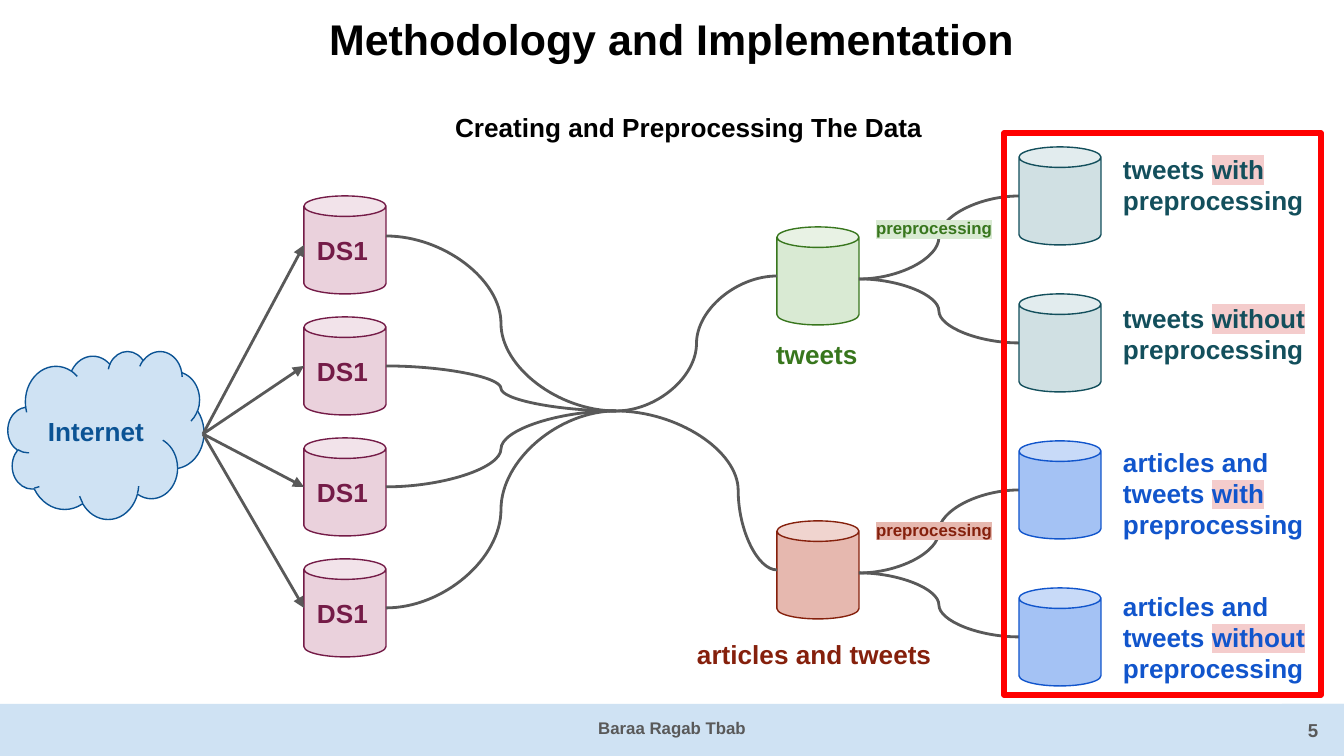
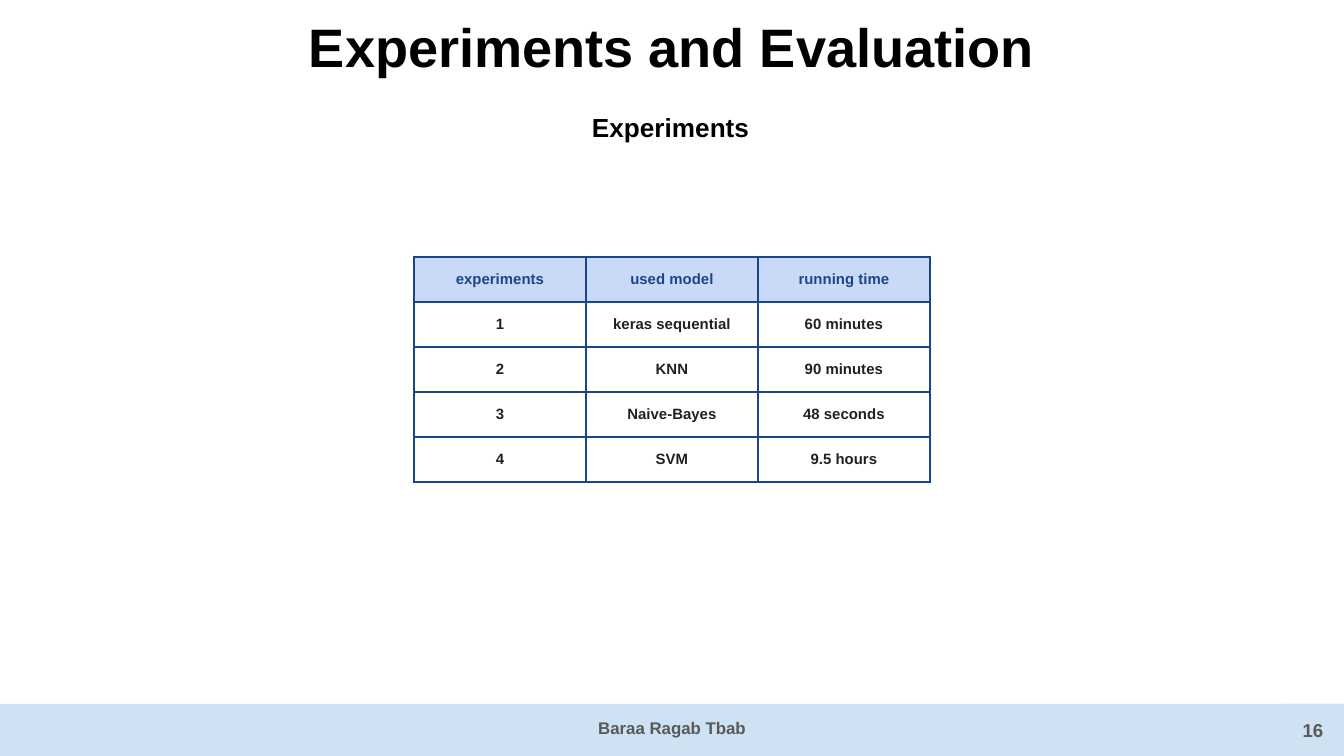
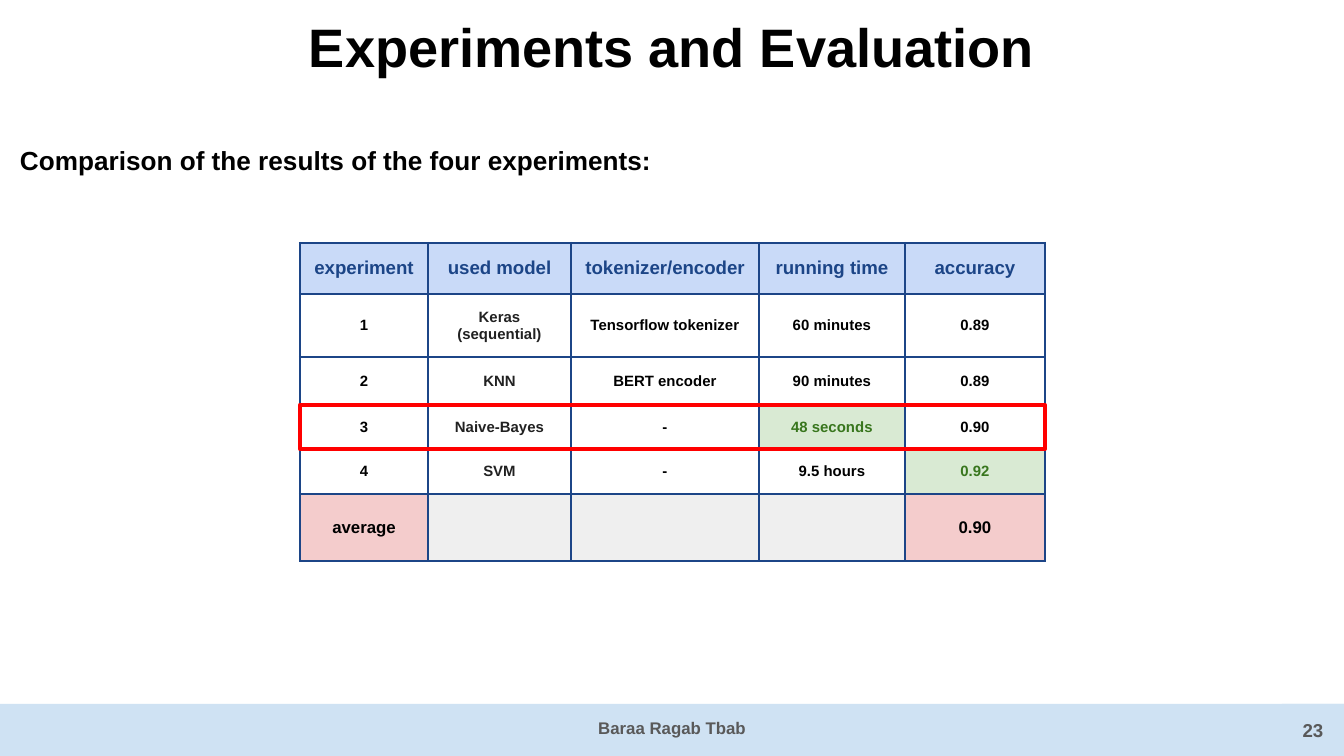
from lxml import etree
from pptx import Presentation
from pptx import util as u
from pptx.dml.color import RGBColor
from pptx.enum import shapes, text
from pptx.oxml.ns import qn

PX = 914400 / 134.4
WIDE, HIGH = 1344, 756
PAD = 13
FONT = "Arial"
BLACK, WHITE, GREY, DARK = "000000", "FFFFFF", "595959", "212121"
BAND, NAVY, HEAD, RED = "CFE2F3", "1C4587", "C9DAF8", "FF0000"
GREEN, MINT = "38761D", "D9EAD3"
BRICK, CLAY = "85200C", "E6B8AF"
TEAL, MIST = "134F5C", "D0E0E3"
BLUE, SKY = "1155CC", "A4C2F4"
PLUM, ROSE = "741B47", "EAD1DC"
OCEAN, PINK, PALE = "0B5394", "F4CCCC", "EFEFEF"
CAN = (82, 98)

LEFT, MID = text.PP_ALIGN.LEFT, text.PP_ALIGN.CENTER
TOP, CORE = text.MSO_ANCHOR.TOP, text.MSO_ANCHOR.MIDDLE
Kind = shapes.MSO_SHAPE
Link = shapes.MSO_CONNECTOR


def px(n):
    return u.Emu(round(n * PX))


def color(code):
    return RGBColor.from_string(code)


def paint(fill, code):
    if code:
        fill.solid()
        fill.fore_color.rgb = color(code)
    else:
        fill.background()


def add_run(para, words, size, ink, mark=None):
    """Add one bold run, highlighted with the colour mark if given."""
    run = para.add_run()
    run.text = words
    font = run.font
    font.size, font.bold, font.name = u.Pt(size), True, FONT
    font.color.rgb = color(ink)
    if mark:
        light = etree.Element(qn("a:highlight"))
        etree.SubElement(light, qn("a:srgbClr"), val=mark)
        font._element.find(qn("a:solidFill")).addnext(light)


def write(shape, runs, size, ink, align=LEFT, anchor=TOP):
    """Fill a shape with one paragraph of (words, highlight) runs."""
    frame = shape.text_frame
    frame.word_wrap, frame.vertical_anchor = True, anchor
    frame.margin_left = frame.margin_right = px(PAD)
    frame.margin_top = frame.margin_bottom = px(PAD)
    para = frame.paragraphs[0]
    para.alignment = align
    for words, mark in runs:
        add_run(para, words, size, ink, mark)
    return para


def label(slide, box, runs, size, ink, align=LEFT):
    area = slide.shapes.add_textbox(*map(px, box))
    write(area, runs, size, ink, align)


def block(slide, kind, box, fill=None, line=None, weight=0.75):
    shape = slide.shapes.add_shape(kind, *map(px, box))
    shape.shadow.inherit = False
    paint(shape.fill, fill)
    paint(shape.line.fill, line)
    if line:
        shape.line.width = u.Pt(weight)
    return shape


def link(slide, kind, start, end):
    line = slide.shapes.add_connector(kind, *map(px, start + end))
    line.line.color.rgb = color(GREY)
    line.line.width = u.Pt(1.5)
    etree.SubElement(line._element.spPr, qn("a:effectLst"))
    return line


def arrow(slide, start, end):
    line = link(slide, Link.STRAIGHT, start, end)
    etree.SubElement(line.line._get_or_add_ln(), qn("a:tailEnd"), type="triangle")


def curve(slide, start, end, bend=50000):
    """Draw an S curve that turns at bend (100000 = whole width)."""
    line = link(slide, Link.CURVE, start, end)
    geom = line._element.spPr.find(qn("a:prstGeom"))
    guides = geom.find(qn("a:avLst"))
    if guides is None:
        guides = etree.SubElement(geom, qn("a:avLst"))
    etree.SubElement(guides, qn("a:gd"), name="adj1", fmla=f"val {bend}")


def base(deck, title, size, page):
    """Add a slide with its title, footer band and page number."""
    slide = deck.slides.add_slide(deck.slide_layouts[6])
    label(slide, (0, 0, WIDE, 98), [(title, None)], size, BLACK, MID)
    top, tall = 704, HIGH - 704
    foot = block(slide, Kind.RECTANGLE, (0, top, WIDE, tall), BAND)
    para = write(foot, [("Baraa Ragab Tbab", None)], 9, GREY, MID, CORE)
    para.line_spacing = 0.8
    num = block(slide, Kind.RECTANGLE, (WIDE - 62, top, 62, tall), BAND)
    write(num, [(str(page), None)], 10, GREY, MID, CORE)
    return slide


def sources(slide, x, y, hub):
    """Place the cloud and four data sets, which all flow into the hub."""
    cloud = block(slide, Kind.CLOUD, (x, y, 196, 168), BAND, OCEAN)
    write(cloud, [("Internet", None)], 14, OCEAN, LEFT, CORE)
    wide, tall = CAN
    left, step = x + 296, 121
    for i in range(4):
        top = y - 155 + i * step
        mid = top + tall // 2
        can = block(slide, Kind.CAN, (left, top, *CAN), ROSE, PLUM)
        write(can, [("DS1", None)], 14, PLUM, LEFT, CORE)
        arrow(slide, (x + 195, y + 83), (left, mid))
        out = mid if i else mid - 9
        curve(slide, (left + wide, out), hub)


def branch(slide, x, y, hub, bend, look, name, outs):
    """Place a store, its name and the two results that split from it."""
    fill, ink = look
    wide, tall = CAN
    block(slide, Kind.CAN, (x, y, *CAN), fill, ink)
    curve(slide, (x, y + tall // 2), hub, bend)
    words, box = name
    label(slide, (x + box[0], y + box[1], box[2], 59), [(words, None)], 14, ink)
    start, (pale, deep), lines = outs
    far = x + 242
    for i, (side, drop, high) in enumerate((("with", -7, 0), ("without", -5, -3))):
        top = start + i * 147
        curve(slide, (far, top + tall // 2), (x + wide, y + 52))
        block(slide, Kind.CAN, (far, top, *CAN), pale, deep)
        runs = [(lines, WHITE), (side, PINK), (" preprocessing", WHITE)]
        shift = drop if lines == "tweets " else high - 8
        label(slide, (x + 333, top + shift, 234, 122), runs, 14, deep)
    label(slide, (x + 86, y - 19 + (8 if bend < 50000 else 0), 157, 47),
          [("preprocessing", fill)], 9, ink)


def flow(deck):
    slide = base(deck, "Methodology and Implementation", 23, 5)
    label(slide, (442, 98, 504, 59),
          [("Creating and Preprocessing The Data", None)], 14, BLACK)
    hub = (616, 411)
    sources(slide, 8, 351, hub)
    branch(slide, 777, 227, hub, 50000, (MINT, GREEN),
           ("tweets", (-14, 98, 110)), (147, (MIST, TEAL), "tweets "))
    branch(slide, 777, 521, hub, 24100, (CLAY, BRICK),
           ("articles and tweets", (-93, 104, 267)),
           (441, (SKY, BLUE), "articles and tweets "))
    block(slide, Kind.RECTANGLE, (1004, 133, 317, 562), None, RED, 3)


def grid(slide, x, y, cols, rows, data, style):
    """Add a ruled table; style(row, col) gives size, ink and fill."""
    frame = slide.shapes.add_table(len(rows), len(cols), px(x), px(y),
                                   px(sum(cols)), px(sum(rows)))
    table = frame.table
    table.first_row = table.horz_banding = False
    for col, wide in zip(table.columns, cols):
        col.width = px(wide)
    for r, (row, tall) in enumerate(zip(table.rows, rows)):
        row.height = px(tall)
        for c, cell in enumerate(row.cells):
            size, ink, fill = style(r, c)
            cell.vertical_anchor = CORE
            cell.margin_left = cell.margin_right = px(PAD)
            cell.margin_top = cell.margin_bottom = px(PAD)
            rule(cell)
            paint(cell.fill, fill)
            para = cell.text_frame.paragraphs[0]
            para.alignment = MID
            if data[r][c]:
                add_run(para, data[r][c], size, ink)


def rule(cell):
    """Draw the four borders of a cell."""
    props = cell._tc.get_or_add_tcPr()
    for side in "LRTB":
        line = etree.SubElement(props, qn(f"a:ln{side}"), w=str(u.Pt(1.5)))
        fill = etree.SubElement(line, qn("a:solidFill"))
        etree.SubElement(fill, qn("a:srgbClr"), val=NAVY)


def trials(deck):
    slide = base(deck, "Experiments and Evaluation", 29, 16)
    label(slide, (579, 98, 187, 59), [("Experiments", None)], 14, BLACK)
    data = [
        ("experiments", "used model", "running time"),
        ("1", "keras sequential", "60 minutes"),
        ("2", "KNN", "90 minutes"),
        ("3", "Naive-Bayes", "48 seconds"),
        ("4", "SVM", "9.5 hours"),
    ]

    def style(r, c):
        return (8, DARK, None) if r else (8, NAVY, HEAD)

    grid(slide, 414, 257, [172] * 3, [45] * 5, data, style)


def results(deck):
    slide = base(deck, "Experiments and Evaluation", 29, 23)
    label(slide, (0, 131, 672, 59),
          [("Comparison of the results of the four experiments:", None)],
          14, BLACK, MID)
    data = [
        ("experiment", "used model", "tokenizer/encoder", "running time", "accuracy"),
        ("1", "Keras (sequential)", "Tensorflow tokenizer", "60 minutes", "0.89"),
        ("2", "KNN", "BERT encoder", "90 minutes", "0.89"),
        ("3", "Naive-Bayes", "-", "48 seconds", "0.90"),
        ("4", "SVM", "-", "9.5 hours", "0.92"),
        ("average", "", "", "", "0.90"),
    ]
    best = {(3, 3), (4, 4)}

    def style(r, c):
        if r == 0:
            return 10, NAVY, HEAD
        if r == len(data) - 1:
            return 9, BLACK, PINK if data[r][c] else PALE
        if (r, c) in best:
            return 8, GREEN, MINT
        return 8, DARK if c == 1 else BLACK, None

    x, y = 300, 243
    cols, rows = [128, 143, 188, 146, 140], [51, 63, 48, 44, 45, 67]
    grid(slide, x, y, cols, rows, data, style)
    block(slide, Kind.RECTANGLE, (x, y + sum(rows[:3]), sum(cols), rows[3]),
          None, RED, 2.25)


def main():
    deck = Presentation()
    deck.slide_width, deck.slide_height = px(WIDE), px(HIGH)
    flow(deck)
    trials(deck)
    results(deck)
    deck.save("out.pptx")


if __name__ == "__main__":
    main()
